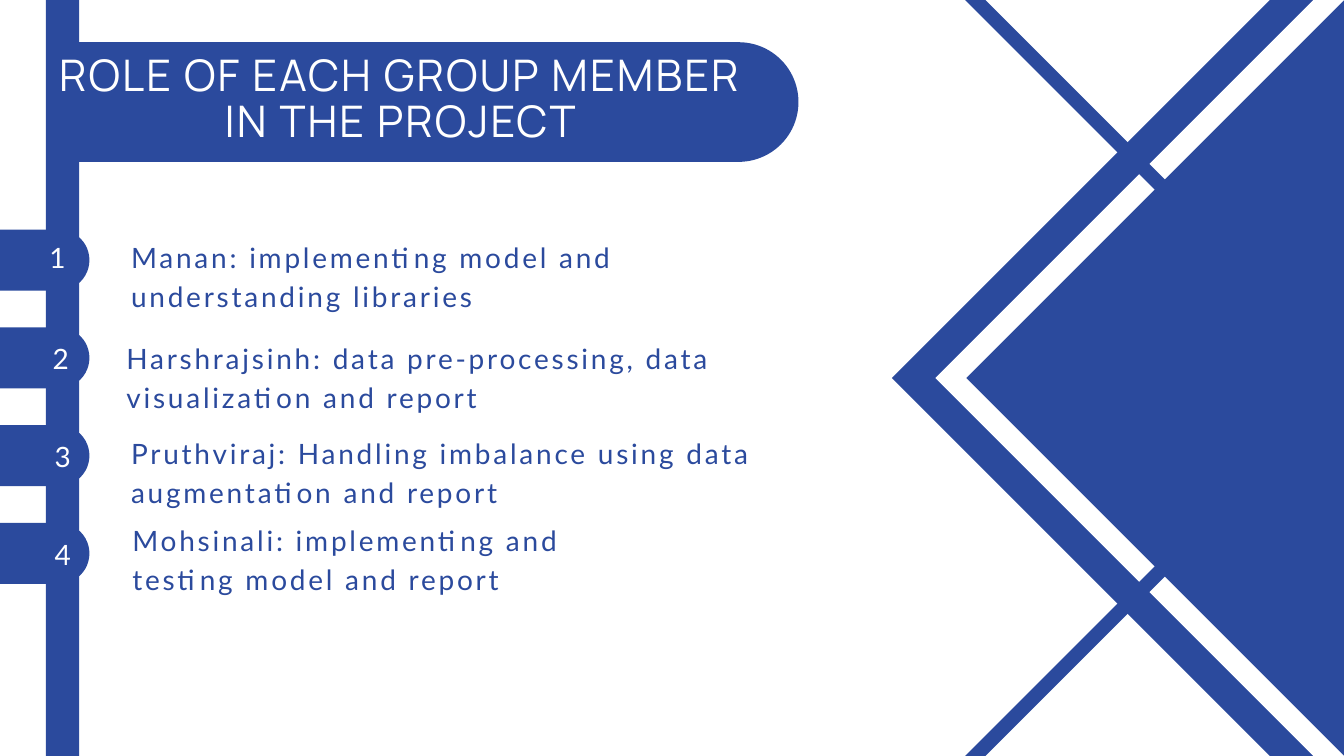
"""Build the slide listing each group member's role in the project."""
from pptx import Presentation
from pptx.dml.color import RGBColor
from pptx.enum.shapes import MSO_SHAPE as Preset
from pptx.enum.text import MSO_AUTO_SIZE as AutoSize, PP_ALIGN as Align
from pptx.util import Pt

COLORS = {"blue": "2B4A9D", "white": "FFFFFF"}


def paint(shape, color):
    shape.fill.solid()
    shape.fill.fore_color.rgb = RGBColor.from_string(COLORS[color])
    shape.line.fill.background()
    shape.shadow.inherit = False


def add_text(text, left, top, width, height, color="blue", align=Align.LEFT,
             font="Lato", size=30, leading=42, tracking=3):
    box = slide.shapes.add_textbox(Pt(left), Pt(top), Pt(width), Pt(height))
    frame = box.text_frame
    frame.word_wrap = True
    frame.auto_size = AutoSize.SHAPE_TO_FIT_TEXT
    frame.margin_left = frame.margin_top = frame.margin_right = frame.margin_bottom = 0
    paragraph = frame.paragraphs[0]
    paragraph.alignment = align
    paragraph.line_spacing = Pt(leading)
    paragraph.font.name = font
    paragraph.font.size = Pt(size)
    paragraph.font.color.rgb = RGBColor.from_string(COLORS[color])
    run = paragraph.add_run()
    run.text = text
    run._r.get_or_add_rPr().set("spc", str(round(tracking * 100)))


presentation = Presentation()
presentation.slide_width = Pt(1440)
presentation.slide_height = Pt(810)
slide = presentation.slides.add_slide(presentation.slide_layouts[6])

bar = slide.shapes.add_shape(Preset.RECTANGLE, Pt(49.2), 0, Pt(35.5), Pt(810))
paint(bar, "blue")

diamond = slide.shapes.add_shape(Preset.DIAMOND, Pt(955.6), Pt(-161.4), Pt(1132.8), Pt(1132.8))
paint(diamond, "blue")

diamond_frames = [
    (1525.5, 405, 523.2, 490.4, "white"),
    (1311.3, 876, 343.1, 321.5, "blue"),
    (1311.3, -66, 343.1, 321.5, "blue"),
]
for center_x, center_y, outer, inner, color in diamond_frames:
    builder = slide.shapes.build_freeform(Pt(center_x), Pt(center_y - outer), scale=1.0)
    builder.add_line_segments([
        (Pt(center_x - outer), Pt(center_y)),
        (Pt(center_x), Pt(center_y + outer)),
        (Pt(center_x + outer), Pt(center_y)),
    ])
    builder.move_to(Pt(center_x), Pt(center_y - inner))
    builder.add_line_segments([
        (Pt(center_x + inner), Pt(center_y)),
        (Pt(center_x), Pt(center_y + inner)),
        (Pt(center_x - inner), Pt(center_y)),
    ])
    paint(builder.convert_to_shape(), color)

pills = [(84.5, 45.2, 771, 128.2)]
pills += [(-59, 246.1 + 104.75 * index, 154.8, 65.2) for index in range(4)]
for left, top, length, thickness in pills:
    inset = (length - thickness) / 2
    pill = slide.shapes.add_shape(Preset.ROUND_2_SAME_RECTANGLE, Pt(left + inset),
                                  Pt(top - inset), Pt(thickness), Pt(length))
    pill.rotation = 90
    pill.adjustments[0] = 0.5
    paint(pill, "blue")

add_text("ROLE OF EACH GROUP MEMBER IN THE PROJECT", 49.2, 59, 759.6, 102.2,
         "white", Align.CENTER, "Manrope", 46.6, 48.9, 2.3)

members = [
    ("Manan: implementing model and understanding libraries", 140.4, 252, 578.2, 42.5, 252),
    ("Harshrajsinh: data pre-processing, data visualization and report",
     135.4, 360, 668.9, 46.1, 360),
    ("Pruthviraj: Handling imbalance using data augmentation and report",
     140.4, 461.5, 715.7, 48.2, 464.4),
    ("Mohsinali: implementing and testing model and report",
     141.8, 554.4, 578.2, 48.2, 569.5),
]
for number, (role, left, top, width, number_left, number_top) in enumerate(members, 1):
    add_text(role, left, top, width, 83.5)
    add_text(str(number), number_left, number_top, 38.2, 41, "white", Align.CENTER)

presentation.save("out.pptx")
